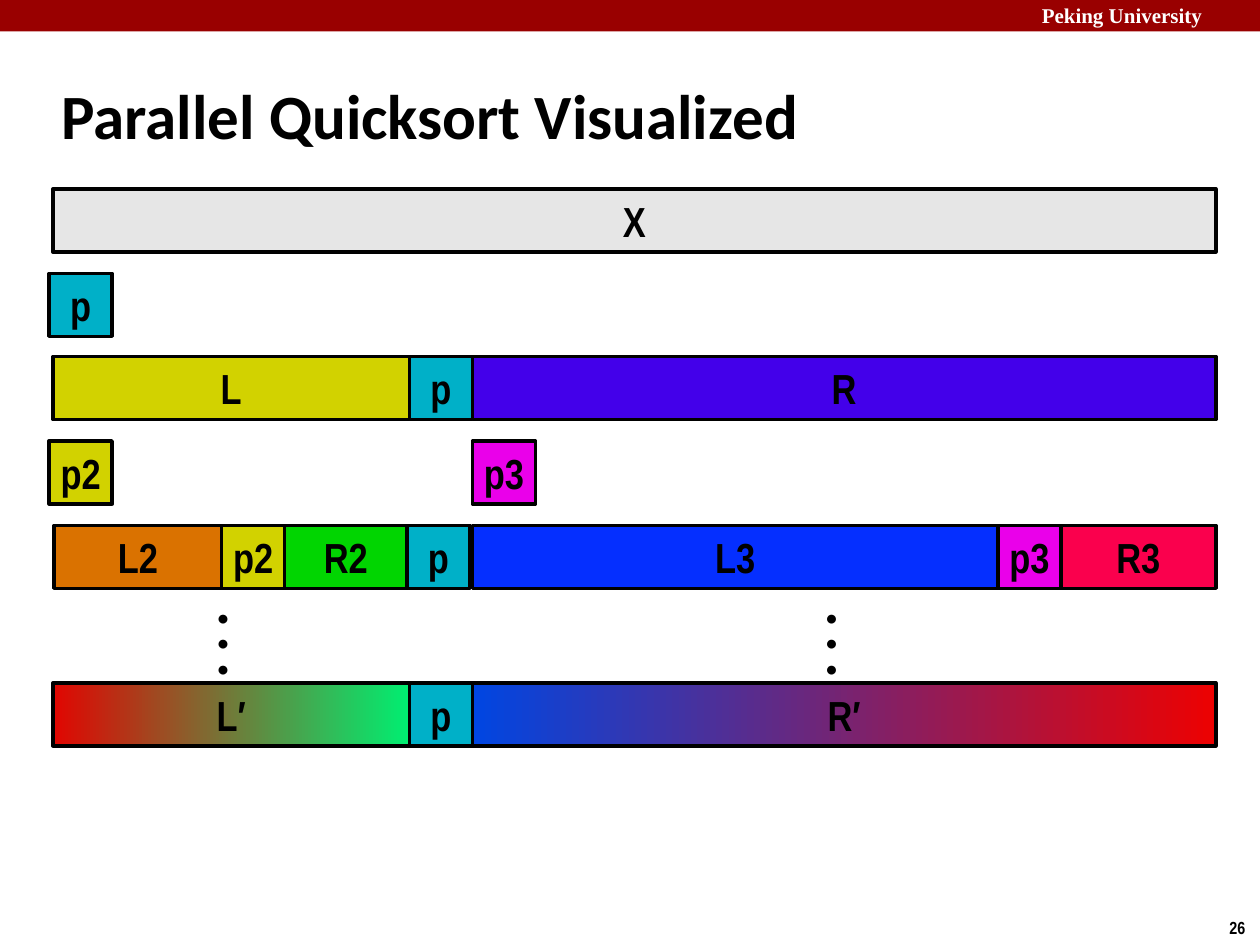
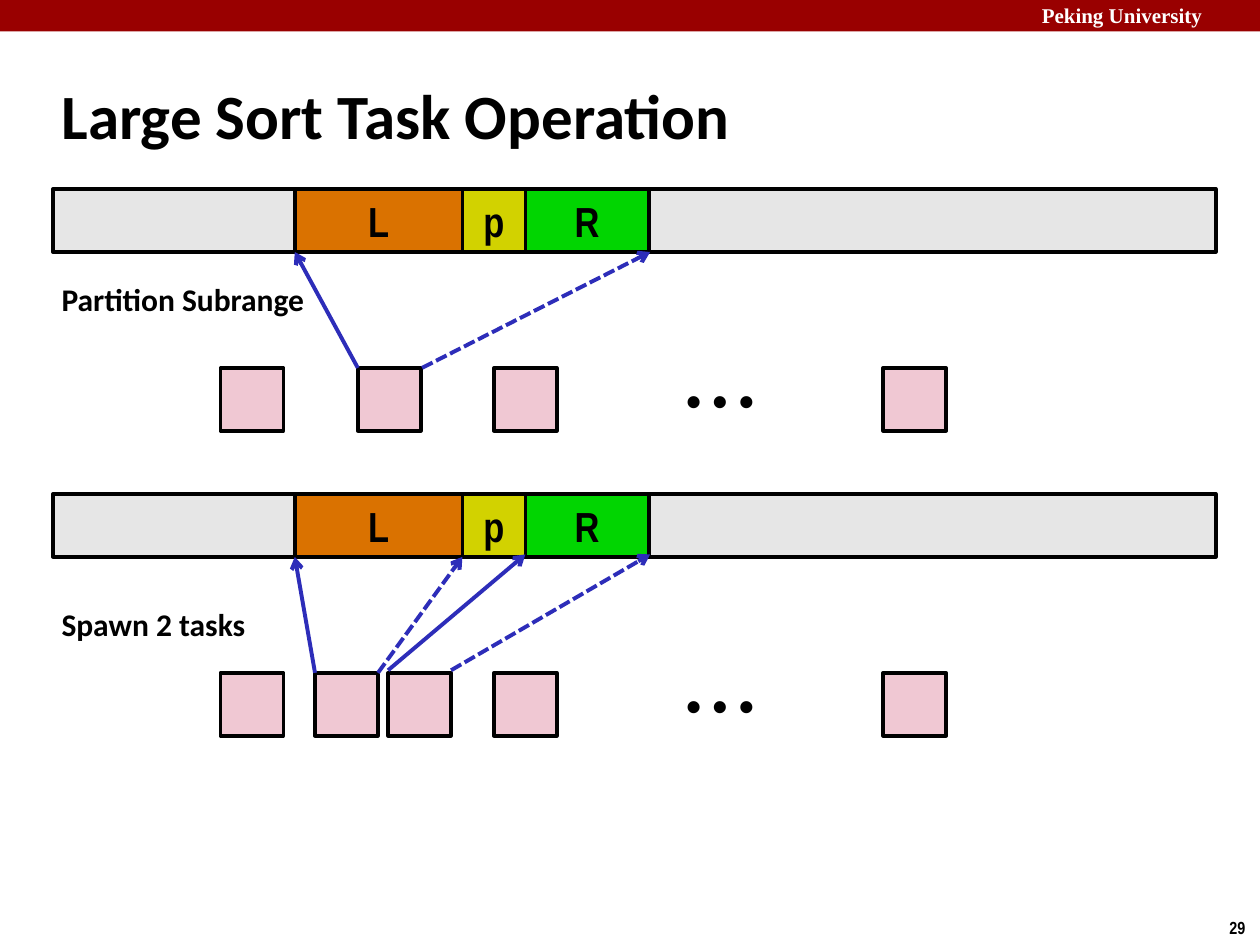
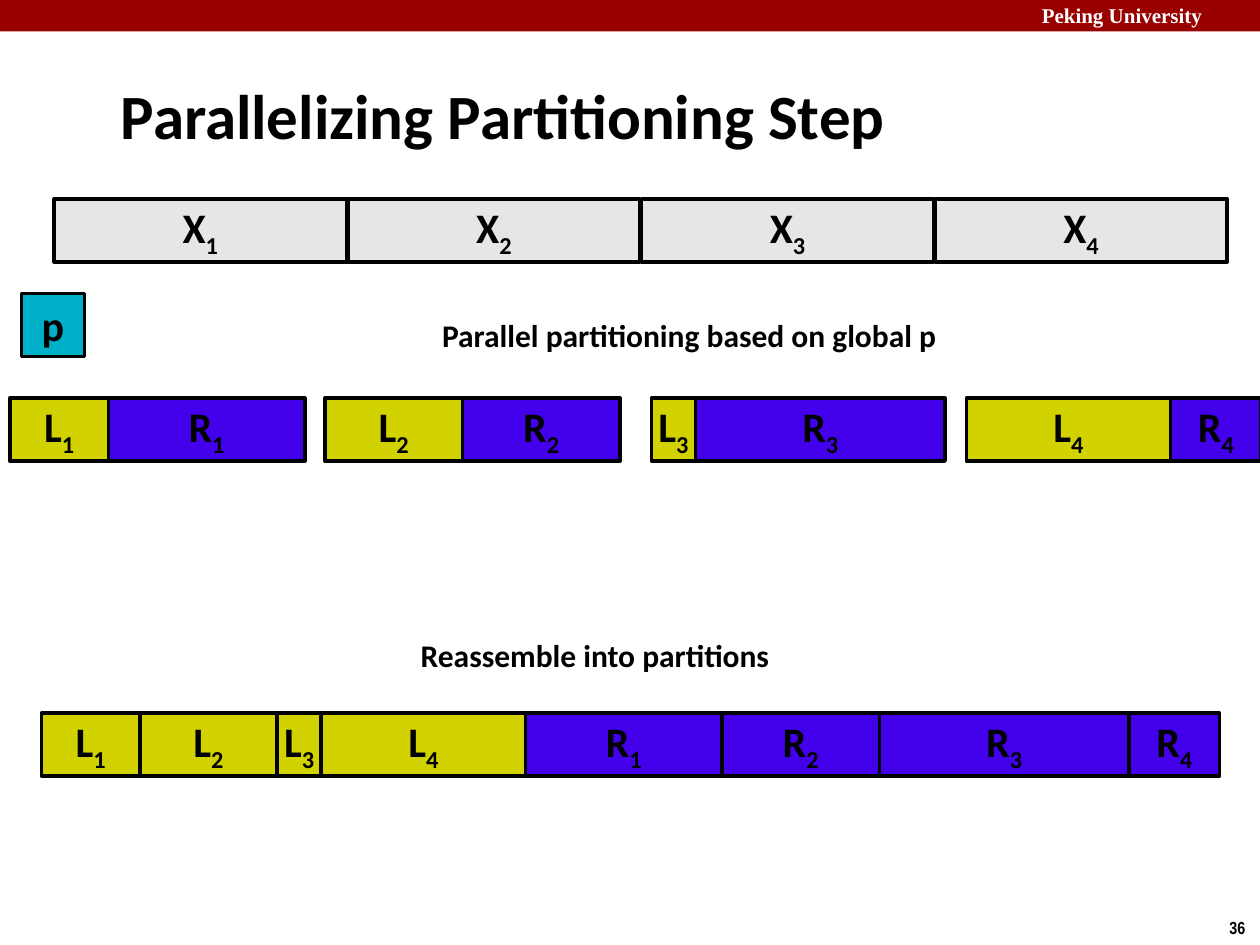
from pptx import Presentation
from pptx.dml.color import RGBColor
from pptx.enum.dml import MSO_LINE
from pptx.enum.shapes import MSO_CONNECTOR, MSO_SHAPE
from pptx.enum.text import MSO_ANCHOR, MSO_AUTO_SIZE as AutoSize, PP_ALIGN
from pptx.oxml.ns import qn
from pptx.util import Inches, Pt
from lxml.etree import SubElement

BLACK, WHITE = RGBColor(0, 0, 0), RGBColor(255, 255, 255)
BAND_RED = RGBColor(0x99, 0x00, 0x00)
GREY = RGBColor(0xE6, 0xE6, 0xE6)
TEAL = RGBColor(0x00, 0xB0, 0xC8)
OLIVE = RGBColor(0xD2, 0xD2, 0x00)
VIOLET = RGBColor(0x43, 0x00, 0xEA)
MAGENTA = RGBColor(0xEA, 0x00, 0xEA)
ORANGE = RGBColor(0xDA, 0x72, 0x00)
GREEN = RGBColor(0x01, 0xD5, 0x01)
BLUE = RGBColor(0x05, 0x2F, 0xFF)
CRIMSON = RGBColor(0xFA, 0x00, 0x4D)
PINK = RGBColor(0xF0, 0xC8, 0xD3)
ARROW_BLUE = RGBColor(0x2D, 0x2D, 0xB9)
RED_TO_GREEN = (RGBColor(0xE1, 0x06, 0x01), RGBColor(0x00, 0xEE, 0x71))
BLUE_TO_RED = (RGBColor(0x00, 0x46, 0xE2), RGBColor(0xED, 0x01, 0x01))

TITLE = {"name": "Calibri", "size": Pt(36), "bold": True}
CAPTION = {"name": "Calibri", "size": Pt(18), "bold": True}
DOTS = {"name": "Calibri", "size": Pt(12), "bold": True}
ELLIPSIS = {"name": "Arial", "size": Pt(24), "bold": True}
NARROW = {"name": "Arial Narrow", "size": Pt(24), "bold": True}
ROUNDED = {"name": "Calibri", "size": Pt(24), "bold": True}
BRAND = {"name": "Times New Roman", "size": Pt(12), "bold": True}
NUMBER = {"name": "Arial Narrow", "size": Pt(10), "bold": True}
SIDE = 0.5       # bar height and side of the square cells
BAR_LEFT, BAR_WIDTH = 0.42, 9.23

# Rows of bars: left, top, cells of (label, width, fill)
QUICKSORT_ROWS = [
    (BAR_LEFT, 1.5, [("X", BAR_WIDTH, GREY)]),
    (0.39, 2.17, [("p", SIDE, TEAL)]),
    (BAR_LEFT, 2.83, [("L", 2.83, OLIVE), ("p", SIDE, TEAL), ("R", 5.9, VIOLET)]),
    (0.39, 3.5, [("p2", SIDE, OLIVE)]),
    (3.75, 3.5, [("p3", SIDE, MAGENTA)]),
    (0.43, 4.17, [("L2", 1.33, ORANGE), ("p2", SIDE, OLIVE),
                  ("R2", 0.97, GREEN), ("p", SIDE, TEAL)]),
    (3.75, 4.17, [("L3", 4.17, BLUE), ("p3", SIDE, MAGENTA), ("R3", 1.23, CRIMSON)]),
    (BAR_LEFT, 5.42, [("L′", 2.83, RED_TO_GREEN), ("p", SIDE, TEAL),
                      ("R′", 5.9, BLUE_TO_RED)]),
]
DOT_COLUMNS = [1.63, 6.46]

# Each stage: bar top, caption, caption top, task lefts,
# arrows of (from x, to x, dashed, lift)
SUBRANGE = [("L", 1.33, ORANGE), ("p", SIDE, OLIVE), ("R", 0.98, GREEN)]
SUBRANGE_LEFT = 2.34
TASK_STAGES = [
    (1.5, "Partition Subrange", 2.17, [1.75, 2.84, 3.92, 7.01],
     [(3.35, 5.16, True, 0), (2.84, 2.34, False, 0)]),
    (3.92, "Spawn 2 tasks", 4.75, [1.75, 2.5, 3.08, 3.92, 7.01],
     [(3, 3.67, True, 0), (2.5, 2.34, False, 0),
      (3.58, 5.16, True, 0.02), (3.08, 4.17, False, 0.02)]),
]
TASK_DROP = 1.42  # from bar top to task top

# Blocks: left on the page, width of the L part, width of the R part
BLOCKS = [(0.08, 0.78, 1.56), (2.58, 1.09, 1.25), (5.17, 0.35, 1.98), (7.67, 1.62, 0.72)]


def write(frame, lines, style, colour=BLACK, align=PP_ALIGN.LEFT):
    """Write lines into a frame; what follows an underscore is a subscript."""
    for index, line in enumerate(lines):
        para = frame.add_paragraph() if index else frame.paragraphs[0]
        para.alignment = align
        base, _, subscript = line.partition("_")
        for words in filter(None, (base, subscript)):
            span = para.add_run()
            span.text = words
            for key, value in style.items():
                setattr(span.font, key, value)
            span.font.color.rgb = colour
        if subscript:
            span.font._element.set("baseline", "-25000")


def add_text(page, place, lines, style, colour=BLACK, align=PP_ALIGN.LEFT,
             wrap=False, anchor=MSO_ANCHOR.TOP, size=AutoSize.SHAPE_TO_FIT_TEXT):
    """Add a text box at left, top, width, height."""
    frame = page.shapes.add_textbox(*map(Inches, place)).text_frame
    layout = {"word_wrap": wrap, "vertical_anchor": anchor, "auto_size": size}
    for key, value in layout.items():
        setattr(frame, key, value)
    write(frame, lines, style, colour, align)
    return frame


def add_cell(page, left, top, width, fill, label="", style=NARROW):
    """Add one outlined bar cell; a pair of colours makes a gradient."""
    box = page.shapes.add_shape(MSO_SHAPE.RECTANGLE, *map(Inches, (left, top, width, SIDE)))
    box.shadow.inherit = False
    if isinstance(fill, RGBColor):
        box.fill.solid()
        box.fill.fore_color.rgb = fill
    else:
        box.fill.gradient()
        box.fill.gradient_angle = 0
        for stop, colour, position in zip(box.fill.gradient_stops, fill, (0, 1)):
            stop.color.rgb = colour
            stop.position = position
    box.line.color.rgb = BLACK
    box.line.width = Pt(2)
    box.text_frame.word_wrap = False
    box.text_frame.vertical_anchor = MSO_ANCHOR.MIDDLE
    if label:
        write(box.text_frame, [label], style, align=PP_ALIGN.CENTER)


def add_row(page, left, top, cells, style=NARROW, gap=0):
    """Lay cells side by side from the left."""
    for label, width, fill in cells:
        add_cell(page, left, top, width, fill, label, style)
        left += width + gap


def add_arrow(page, start, end, dashed):
    """Add an arrow between two points."""
    arrow = page.shapes.add_connector(MSO_CONNECTOR.STRAIGHT, *map(Inches, start + end))
    arrow.line.color.rgb = ARROW_BLUE
    arrow.line.width = Pt(2.25)
    if dashed:
        arrow.line.dash_style = MSO_LINE.SQUARE_DOT
    SubElement(arrow.line._get_or_add_ln(), qn("a:tailEnd"), type="arrow")
    SubElement(arrow._element.spPr, qn("a:effectLst"))


def add_page(deck, title, number, title_left=0.39):
    """Add a page with the shared band, title and page number."""
    page = deck.slides.add_slide(deck.slide_layouts[6])
    band = page.shapes.add_shape(MSO_SHAPE.RECTANGLE, 0, 0, deck.slide_width, Inches(0.25))
    band.shadow.inherit = False
    band.fill.solid()
    band.fill.fore_color.rgb = BAND_RED
    band.line.fill.background()
    add_text(page, (8.17, -0.03, 1.9, 0.3), ["Peking University"], BRAND, WHITE, wrap=True)
    add_text(page, (9.66, 7.23, 0.34, 0.27), [str(number)], NUMBER)
    add_text(page, (title_left, 0.49, 8.3, 0.83), [title], TITLE, wrap=True,
             anchor=MSO_ANCHOR.MIDDLE, size=AutoSize.NONE)
    return page


def build_quicksort(deck):
    """Show the array being split level by level."""
    page = add_page(deck, "Parallel Quicksort Visualized", 26)
    for left, top, cells in QUICKSORT_ROWS:
        add_row(page, left, top, cells)
    for left in DOT_COLUMNS:
        add_text(page, (left, 4.75, 0.28, 0.71), ["•"] * 3, DOTS)


def build_tasks(deck):
    """Show a task partitioning its subrange, then spawning two tasks."""
    page = add_page(deck, "Large Sort Task Operation", 29)
    for top, caption, caption_top, tasks, arrows in TASK_STAGES:
        task_top = top + TASK_DROP
        add_cell(page, BAR_LEFT, top, BAR_WIDTH, GREY)
        add_row(page, SUBRANGE_LEFT, top, SUBRANGE)
        for left in tasks:
            add_cell(page, left, task_top, SIDE, PINK)
        add_text(page, (4.42, task_top, 2.59, SIDE), ["• • •"], ELLIPSIS,
                 align=PP_ALIGN.CENTER, anchor=MSO_ANCHOR.MIDDLE, size=AutoSize.NONE)
        for start, end, dashed, lift in arrows:
            add_arrow(page, (start, task_top - lift), (end, top + SIDE - lift), dashed)
        add_text(page, (0.39, caption_top, 2.17, 0.4), [caption], CAPTION)


def build_partitioning(deck):
    """Show blocks partitioned in parallel and then reassembled."""
    page = add_page(deck, "Parallelizing Partitioning Step", 36, title_left=0.86)
    numbered = list(enumerate(BLOCKS, 1))
    whole = [(f"X_{n}", 2.32, GREY) for n, _ in numbered]
    lows = [(f"L_{n}", low, OLIVE) for n, (_, low, _) in numbered]
    highs = [(f"R_{n}", high, VIOLET) for n, (_, _, high) in numbered]
    add_row(page, 0.43, 1.58, whole, ROUNDED, gap=0.01)
    add_cell(page, 0.17, 2.33, SIDE, TEAL, "p", ROUNDED)
    add_text(page, (3.41, 2.46, 4.18, 0.4), ["Parallel partitioning based on global p"], CAPTION)
    for (left, _, _), low, high in zip(BLOCKS, lows, highs):
        add_row(page, left, 3.16, [low, high], ROUNDED)
    add_text(page, (3.24, 5, 3.01, 0.4), ["Reassemble into partitions"], CAPTION)
    add_row(page, 0.33, 5.66, lows + highs, ROUNDED)


deck = Presentation()
deck.slide_width, deck.slide_height = Inches(10), Inches(7.5)
for build in (build_quicksort, build_tasks, build_partitioning):
    build(deck)
deck.save("out.pptx")
